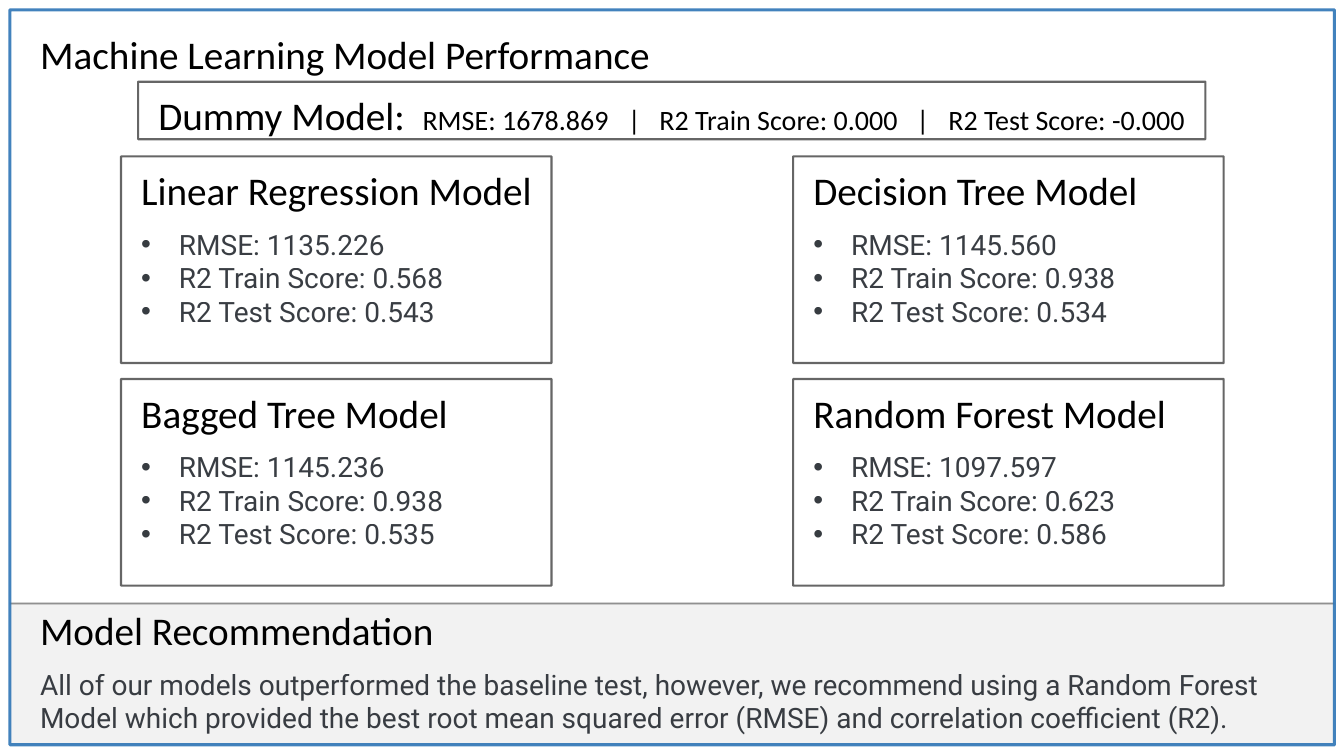
"""Build the machine learning model performance slide."""
from lxml import etree
from pptx import Presentation
from pptx import util as u
from pptx.dml import color
from pptx.enum import shapes, text
from pptx.oxml import ns


def paint(fill, colour, opacity=100):
    fill.solid()
    fill.fore_color.rgb = color.RGBColor.from_string(colour)
    if opacity < 100:
        element = fill._xPr.find(ns.qn("a:solidFill")).find(ns.qn("a:srgbClr"))
        etree.SubElement(element, ns.qn("a:alpha"), val=str(opacity * 1000))


def write(paragraph, wording, size=28, font="Calibri", colour="000000", opacity=100, after=0, bullet=False):
    paragraph.alignment = text.PP_ALIGN.LEFT
    paragraph.line_spacing = 1.0
    paragraph.space_before = u.Pt(0)
    paragraph.space_after = u.Pt(after)
    run = paragraph.add_run()
    run.text = wording
    run.font.size = u.Pt(size)
    run.font.name = font
    paint(run.font.fill, colour, opacity)
    if bullet:
        properties = paragraph._p.get_or_add_pPr()
        properties.set("marL", str(u.Cm(0.95)))
        properties.set("indent", str(-u.Cm(0.95)))
        etree.SubElement(properties, ns.qn("a:buFont"), typeface="Arial")
        etree.SubElement(properties, ns.qn("a:buChar"), char="•")


BODY = dict(size=20, font="Roboto", colour="24292F", opacity=90)
RECTANGLE = shapes.MSO_SHAPE.RECTANGLE
LEFT, RIGHT, TOP, BOTTOM = 0.25, 33.63, 0.25, 18.77
BAND_TOP = 15.21

presentation = Presentation()
presentation.slide_width = u.Cm(33.87)
presentation.slide_height = u.Cm(19.05)
slide = presentation.slides.add_slide(presentation.slide_layouts[5])

title = slide.shapes.title
title.left, title.top, title.width, title.height = u.Cm(0.76), u.Cm(0.64), u.Cm(32.36), u.Cm(1.8)
title.text_frame.vertical_anchor = text.MSO_ANCHOR.TOP
title.text_frame.auto_size = text.MSO_AUTO_SIZE.NONE
write(title.text_frame.paragraphs[0], "Machine Learning Model Performance")

divider = slide.shapes.add_connector(
    shapes.MSO_CONNECTOR.STRAIGHT, u.Cm(LEFT), u.Cm(BAND_TOP), u.Cm(RIGHT), u.Cm(BAND_TOP))
divider.line.width = u.Pt(1.5)
paint(divider.line.fill, "000000", 50)
etree.SubElement(divider._element.spPr, ns.qn("a:effectLst"))

band = slide.shapes.add_shape(
    RECTANGLE, u.Cm(LEFT), u.Cm(BAND_TOP), u.Cm(RIGHT - LEFT), u.Cm(BOTTOM - BAND_TOP))
band.shadow.inherit = False
band.line.fill.background()
paint(band.fill, "E7E6E6", 50)

recommendation = slide.shapes.add_textbox(u.Cm(0.76), u.Cm(15.16), u.Cm(32.36), u.Cm(3.51)).text_frame
recommendation.word_wrap = True
write(recommendation.paragraphs[0], "Model Recommendation", after=9.8)
write(recommendation.add_paragraph(),
      "All of our models outperformed the baseline test, however, we recommend using a Random Forest "
      "Model which provided the best root mean squared error (RMSE) and correlation coefficient (R2).", **BODY)

models = [
    ("Linear Regression Model", "1135.226", "0.568", "0.543"),
    ("Decision Tree Model", "1145.560", "0.938", "0.534"),
    ("Bagged Tree Model", "1145.236", "0.938", "0.535"),
    ("Random Forest Model", "1097.597", "0.623", "0.586"),
]
boxes = [("Dummy Model:", [], 3.48, 2.06, 26.9, 1.45)]
for index, (name, rmse, train, test) in enumerate(models):
    row, column = divmod(index, 2)
    scores = [f"RMSE: {rmse}", f"R2 Train Score: {train}", f"R2 Test Score: {test}"]
    boxes.append((name, scores, 3.05 + 16.94 * column, 3.94 + 5.61 * row, 10.85, 5.21))

for name, scores, left, top, width, height in boxes:
    box = slide.shapes.add_shape(RECTANGLE, u.Cm(left), u.Cm(top), u.Cm(width), u.Cm(height))
    box.shadow.inherit = False
    box.fill.background()
    box.line.width = u.Pt(1.5)
    paint(box.line.fill, "000000", 60)
    frame = box.text_frame
    frame.word_wrap = True
    frame.vertical_anchor = text.MSO_ANCHOR.TOP
    frame.margin_left, frame.margin_top = u.Cm(0.51), u.Cm(0.25)
    frame.margin_right = frame.margin_bottom = 0
    write(frame.paragraphs[0], name, after=9.8 if scores else 0)
    for score in scores:
        write(frame.add_paragraph(), score, bullet=True, **BODY)
    if not scores:
        write(frame.paragraphs[0], "\tRMSE: 1678.869\t|\tR2 Train Score: 0.000\t|\tR2 Test Score: -0.000", size=20)
        tabs = etree.SubElement(frame.paragraphs[0]._p.get_or_add_pPr(), ns.qn("a:tabLst"))
        for position, alignment in [(6.66, "l"), (12, "ctr"), (12.63, "l"), (19.27, "ctr"), (19.91, "l")]:
            etree.SubElement(tabs, ns.qn("a:tab"), pos=str(u.Cm(position)), algn=alignment)

border = slide.shapes.add_shape(
    RECTANGLE, u.Cm(LEFT), u.Cm(TOP), u.Cm(RIGHT - LEFT), u.Cm(BOTTOM - TOP))
border.shadow.inherit = False
border.fill.background()
border.line.width = u.Pt(2.25)
paint(border.line.fill, "2E75B6", 90)

presentation.save("out.pptx")
